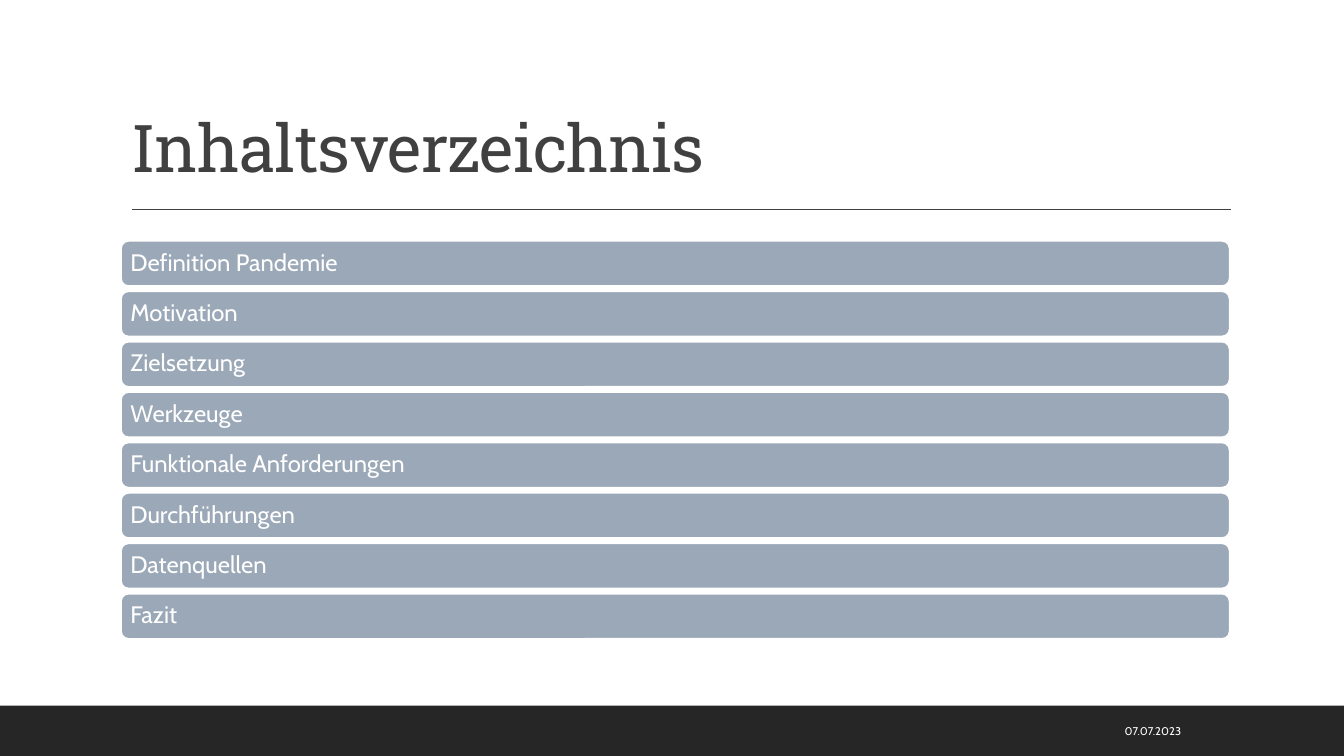
from lxml import etree
from pptx import Presentation
from pptx.dml.color import RGBColor
from pptx.enum.shapes import MSO_CONNECTOR, MSO_SHAPE
from pptx.enum.text import MSO_ANCHOR, MSO_AUTO_SIZE, PP_ALIGN
from pptx.oxml.ns import qn
from pptx.util import Cm, Pt

TITLE = "Inhaltsverzeichnis"
TOPICS = [
    "Definition Pandemie",
    "Motivation",
    "Zielsetzung",
    "Werkzeuge",
    "Funktionale Anforderungen",
    "Durchführungen",
    "Datenquellen",
    "Fazit",
]
DATE = "07.07.2023"

HEADING_FONT, BODY_FONT = "Roboto Slab", "Cabin"
WHITE, DARK, FOOTER, BAR = "FFFFFF", "404040", "262626", "9BA8B7"

RECTANGLE, ROUNDED = MSO_SHAPE.RECTANGLE, MSO_SHAPE.ROUNDED_RECTANGLE
STRAIGHT = MSO_CONNECTOR.STRAIGHT
BOTTOM, MIDDLE = MSO_ANCHOR.BOTTOM, MSO_ANCHOR.MIDDLE
LEFT, RIGHT = PP_ALIGN.LEFT, PP_ALIGN.RIGHT
NO_AUTOFIT = MSO_AUTO_SIZE.NONE

SLIDE_WIDTH, SLIDE_HEIGHT = 33.87, 19.05
CONTENT_LEFT, CONTENT_WIDTH = 3.05, 27.94
BARS_TOP, BAR_HEIGHT, BAR_PITCH = 6.07, 1.14, 1.28
FOOTER_HEIGHT = 1.27


def color(value):
    return RGBColor.from_string(value)


def write(shape, text, font, size, font_color, align, anchor, spacing=1.0):
    frame = shape.text_frame
    frame.word_wrap = True
    frame.auto_size = NO_AUTOFIT
    frame.vertical_anchor = anchor
    paragraph = frame.paragraphs[0]
    paragraph.alignment = align
    paragraph.line_spacing = spacing
    run = paragraph.add_run()
    run.text = text
    run.font.name = font
    run.font.size = Pt(size)
    run.font.color.rgb = color(font_color)
    return run


def add_box(slide, kind, left, top, width, height, fill):
    shape = slide.shapes.add_shape(kind, Cm(left), Cm(top), Cm(width), Cm(height))
    shape.shadow.inherit = False
    shape.fill.solid()
    shape.fill.fore_color.rgb = color(fill)
    shape.line.fill.background()
    return shape


def add_title(slide):
    title = slide.shapes.title
    title.left, title.top = Cm(CONTENT_LEFT), Cm(0.79)
    title.width, title.height = Cm(CONTENT_WIDTH), Cm(4.04)
    run = write(title, TITLE, HEADING_FONT, 47, DARK, LEFT, BOTTOM, 0.9)
    run.font._element.set("spc", "-50")


def add_rule(slide):
    rule = slide.shapes.add_connector(STRAIGHT, Cm(3.33), Cm(5.28), Cm(31.01), Cm(5.28))
    rule.line.color.rgb = color(DARK)
    rule.line.width = Pt(1)
    etree.SubElement(rule._element.spPr, qn("a:effectLst"))


def add_topics(slide):
    for index, topic in enumerate(TOPICS):
        top = BARS_TOP + index * BAR_PITCH - index * 0.01
        bar = add_box(slide, ROUNDED, CONTENT_LEFT, top, CONTENT_WIDTH, BAR_HEIGHT, BAR)
        bar.line.color.rgb = color(WHITE)
        bar.line.width = Pt(1.25)
        frame = bar.text_frame
        frame.margin_left = frame.margin_right = Cm(0.18)
        frame.margin_top = frame.margin_bottom = Cm(0.18)
        write(bar, topic, BODY_FONT, 17, WHITE, LEFT, MIDDLE, 0.9)


def add_footer(slide):
    add_box(slide, RECTANGLE, 0, SLIDE_HEIGHT - FOOTER_HEIGHT, SLIDE_WIDTH, FOOTER_HEIGHT, FOOTER)
    date = slide.shapes.add_textbox(Cm(22.83), Cm(17.91), Cm(7.19), Cm(1.02))
    write(date, DATE, BODY_FONT, 8, WHITE, RIGHT, MIDDLE)


def main():
    presentation = Presentation()
    presentation.slide_width = Cm(SLIDE_WIDTH)
    presentation.slide_height = Cm(SLIDE_HEIGHT)
    slide = presentation.slides.add_slide(presentation.slide_layouts[5])
    add_title(slide)
    add_rule(slide)
    add_topics(slide)
    add_footer(slide)
    presentation.save("out.pptx")


if __name__ == "__main__":
    main()
